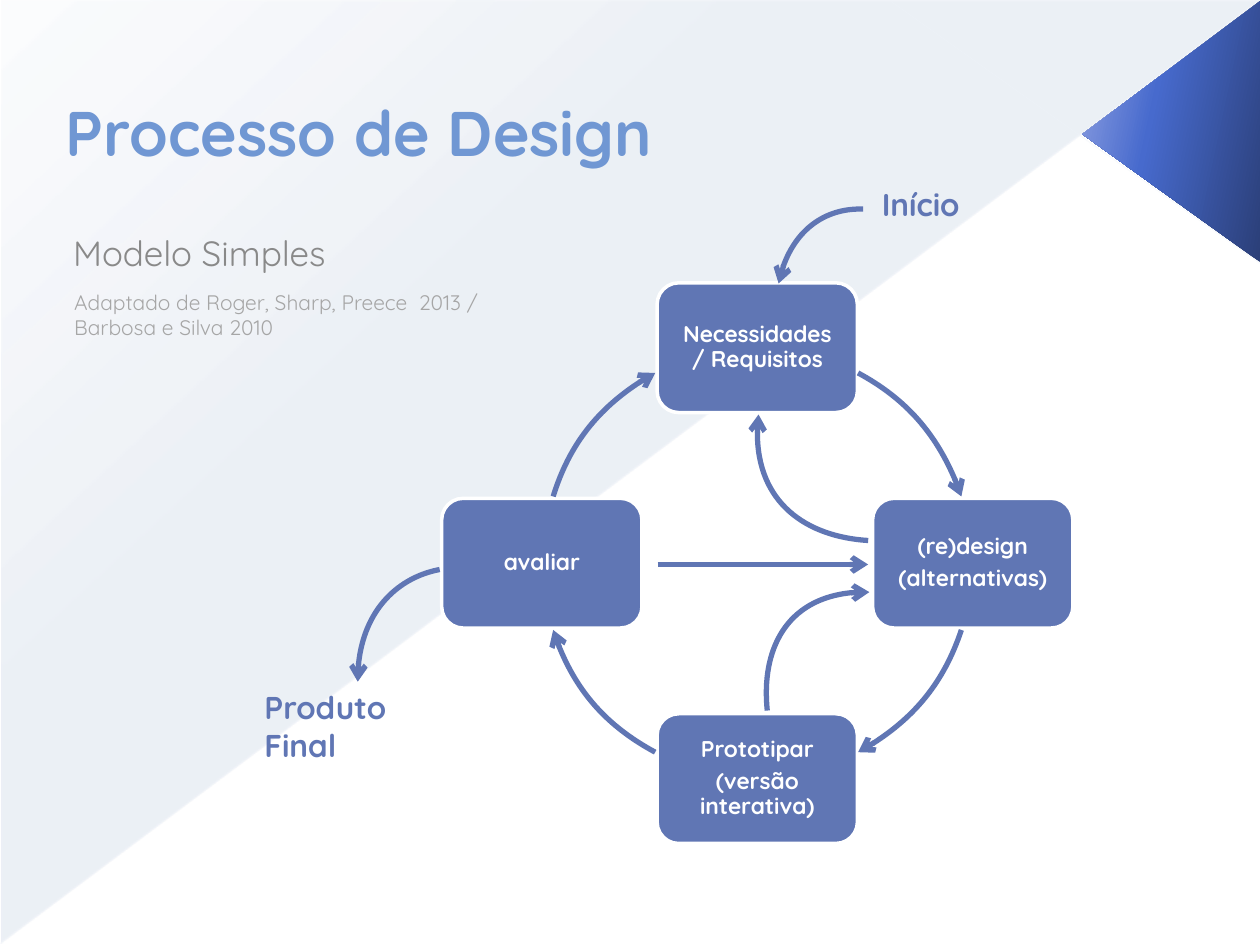
import pptx
import pptx.util
import pptx.oxml
import pptx.dml.color
import pptx.enum.shapes
import pptx.enum.text
from lxml import etree
from pptx.util import Inches

NS = "http://schemas.openxmlformats.org/drawingml/2006/main"
A = "{%s}" % NS
SHAPE = pptx.enum.shapes.MSO_SHAPE
ALIGN = pptx.enum.text.PP_ALIGN
ANCHOR = pptx.enum.text.MSO_ANCHOR
BLUE = "6076B4"


def color(value):
    return pptx.dml.color.RGBColor.from_string(value)


def write(frame, text, size, hue, bold=False, align=ALIGN.LEFT):
    frame.text = text
    frame.word_wrap = True
    for para in frame.paragraphs:
        para.alignment = align
        for span in para.runs:
            span.font.name = "Quicksand"
            span.font.size = pptx.util.Pt(size)
            span.font.bold = bold
            span.font.color.rgb = color(hue)


deck = pptx.Presentation()
deck.slide_width, deck.slide_height = Inches(10), Inches(7.5)
page = deck.slides.add_slide(deck.slide_layouts[1])
title, body = page.placeholders

# Background triangles: kind, position, rotation, angle, stops (place, colour, opacity)
triangles = [
    (SHAPE.RIGHT_TRIANGLE, (0.01, 0.01, 9.99, 7.48), 0, 133,
     [(0, "2F5897", 10), (70, "2F5897", 8), (100, "2F5897", 1)]),
    (SHAPE.ISOSCELES_TRIANGLE, (8.26, 0.34, 2.07, 1.41), 90, 258,
     [(0, "2B3F78", 100), (60, "476ACD", 100), (100, "92A3E2", 100)]),
]
for kind, place, turn, angle, stops in triangles:
    triangle = page.shapes.add_shape(kind, *map(Inches, place))
    triangle.shadow.inherit = False
    triangle.rotation = turn
    triangle.line.fill.background()
    if kind == SHAPE.ISOSCELES_TRIANGLE:
        triangle.adjustments[0] = 0.51
    props = triangle._element.spPr
    props.find(A + "xfrm").set("flipV", "1")
    stop_xml = "".join(
        f'<a:gs pos="{pos * 1000}"><a:srgbClr val="{hue}"><a:alpha val="{alpha * 1000}"/></a:srgbClr></a:gs>'
        for pos, hue, alpha in stops)
    gradient = pptx.oxml.parse_xml(
        f'<a:gradFill xmlns:a="{NS}" rotWithShape="1"><a:gsLst>{stop_xml}</a:gsLst>'
        f'<a:lin ang="{angle * 60000}" scaled="0"/></a:gradFill>')
    props.find(A + "prstGeom").addnext(gradient)

# Faint diagonal lines, then the arrow between the side boxes
lines = [
    ((10, 2.09, 7.07, 0.01), "EFF4FA", 0.47, 45),
    ((0, 7.49, 9.99, 0.01), "EEF3F9", 0.39, 35),
    ((5.22, 4.48, 6.89, 4.48), BLUE, 3, 100),
]
for ends, hue, width, alpha in lines:
    line = page.shapes.add_connector(pptx.enum.shapes.MSO_CONNECTOR.STRAIGHT, *map(Inches, ends))
    line.line.color.rgb = color(hue)
    line.line.width = pptx.util.Pt(width)
    etree.SubElement(line._element.spPr, A + "effectLst")
    if alpha < 100:
        shade = next(line._element.spPr.iter(A + "srgbClr"))
        etree.SubElement(shade, A + "alpha", val=str(alpha * 1000))
    else:
        etree.SubElement(line.line._get_or_add_ln(), A + "tailEnd", type="arrow")

# Title and subtitle, brought in front of the background
for holder, place in ((title, (0.42, 0.3, 7.92, 1.49)), (body, (0.42, 1.79, 4.42, 0.88))):
    page.shapes._spTree.append(holder._element)
    holder.left, holder.top, holder.width, holder.height = map(Inches, place)
write(title.text_frame, "Processo de Design", 36, "7097D3", bold=True)
title.text_frame.vertical_anchor = ANCHOR.MIDDLE
write(body.text_frame, "Modelo Simples", 20, "898989")
para = body.text_frame.paragraphs[0]
para.space_before = pptx.util.Pt(4)
para_props = para._p.get_or_add_pPr()
para_props.set("marL", str(Inches(0.06)))
para_props.set("indent", "0")
etree.SubElement(para_props, A + "buNone")

# Steps of the cycle, placed around its centre
center_x, center_y, radius = 6.01, 4.47, 1.71
box_width, box_height = 1.59, 1.03
steps = [
    ("Necessidades / Requisitos", 0, -1),
    ("(re)design\n(alternativas)", 1, 0),
    ("Prototipar\n(versão interativa)", 0, 1),
    ("avaliar", -1, 0),
]
for text, across, down in steps:
    box = page.shapes.add_shape(
        SHAPE.ROUNDED_RECTANGLE,
        Inches(center_x + across * radius - box_width / 2),
        Inches(center_y + down * radius - box_height / 2),
        Inches(box_width), Inches(box_height))
    box.shadow.inherit = False
    box.fill.solid()
    box.fill.fore_color.rgb = color(BLUE)
    box.line.color.rgb = color("FFFFFF")
    box.line.width = pptx.util.Pt(2)
    write(box.text_frame, text, 13, "FFFFFF", bold=True, align=ALIGN.CENTER)
    box.text_frame.vertical_anchor = ANCHOR.MIDDLE
    for para in box.text_frame.paragraphs:
        para.line_spacing = 0.9
        para.space_after = pptx.util.Pt(4.55)

# Curved arrows: start, two control points, end
curves = [
    [(6.81, 2.96), (7.2, 3.17), (7.49, 3.52), (7.63, 3.94)],
    [(7.63, 5), (7.49, 5.42), (7.2, 5.76), (6.81, 5.97)],
    [(5.2, 5.97), (4.81, 5.76), (4.52, 5.42), (4.39, 5)],
    [(4.39, 3.94), (4.52, 3.52), (4.81, 3.17), (5.2, 2.96)],
    [(6.09, 5.64), (6.04, 5.16), (6.27, 4.68), (6.9, 4.7)],
    [(6.89, 4.29), (6.4, 4.26), (5.94, 3.95), (6.02, 3.29)],
    [(6.85, 1.66), (6.58, 1.65), (6.26, 1.83), (6.18, 2.25)],
    [(3.49, 4.52), (3.17, 4.58), (2.83, 4.88), (2.84, 5.41)],
]
for curve in curves:
    start, *others = [(Inches(x), Inches(y)) for x, y in curve]
    builder = page.shapes.build_freeform(*start)
    builder.add_line_segments(others, close=False)
    arrow = builder.convert_to_shape()
    arrow.shadow.inherit = False
    arrow.fill.background()
    arrow.line.color.rgb = color(BLUE)
    arrow.line.width = pptx.util.Pt(3)
    etree.SubElement(arrow.line._get_or_add_ln(), A + "tailEnd", type="arrow")
    # Turn the three straight segments into one Bézier segment
    segments = list(arrow._element.iter(A + "lnTo"))
    outline = segments[0].getparent()
    bezier = etree.SubElement(outline, A + "cubicBezTo")
    for segment in segments:
        bezier.append(segment[0])
        outline.remove(segment)

# Labels and citation
labels = [
    ("Produto Final", (2, 5.41, 1.3, 0.7), 18, BLUE, True),
    ("Início", (6.9, 1.42, 0.9, 0.4), 18, BLUE, True),
    ("Adaptado de Roger, Sharp, Preece  2013 / Barbosa e Silva 2010",
     (0.49, 2.25, 3.68, 0.51), 12, "A6A6A6", False),
]
for text, place, size, hue, bold in labels:
    label = page.shapes.add_textbox(*map(Inches, place))
    write(label.text_frame, text, size, hue, bold)

deck.save("out.pptx")
